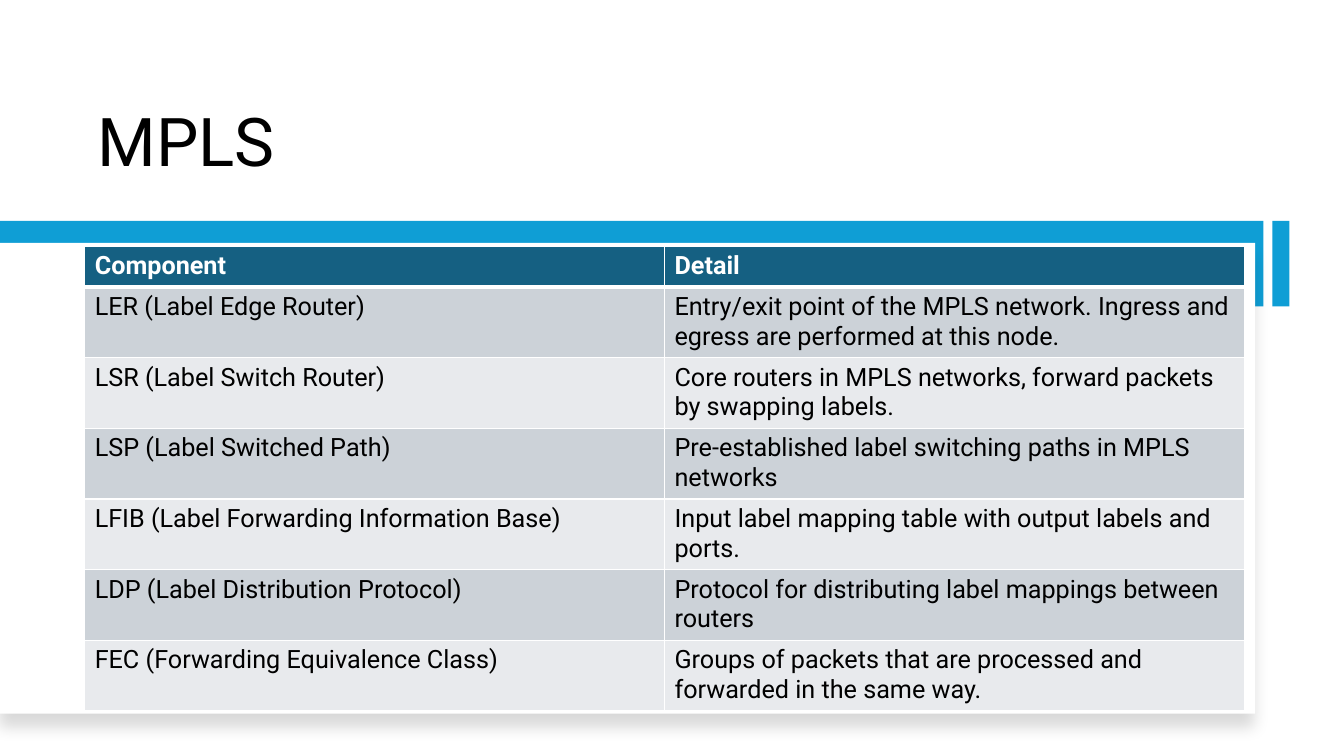
from lxml.etree import SubElement
from pptx import Presentation
from pptx.dml.color import RGBColor
from pptx.enum.shapes import MSO_SHAPE as Shape
from pptx.enum.text import MSO_ANCHOR as Anchor
from pptx.oxml import parse_xml
from pptx.oxml.ns import nsdecls, qn
from pptx.util import Inches, Pt

COLORS = {
    "accent": "0F9ED5",
    "header": "156082",
    "odd": "CCD2D8",
    "even": "E8EAED",
    "white": "FFFFFF",
    "black": "000000",
}
FONT = "Roboto"
HEADER_HEIGHT = 0.41
ROWS = [
    ("Component", "Detail"),
    ("LER (Label Edge Router)",
     "Entry/exit point of the MPLS network. Ingress and egress are performed at this node."),
    ("LSR (Label Switch Router)",
     "Core routers in MPLS networks, forward packets by swapping labels."),
    ("LSP (Label Switched Path)",
     "Pre-established label switching paths in MPLS networks"),
    ("LFIB (Label Forwarding Information Base)",
     "Input label mapping table with output labels and ports."),
    ("LDP (Label Distribution Protocol)",
     "Protocol for distributing label mappings between routers"),
    ("FEC (Forwarding Equivalence Class)",
     "Groups of packets that are processed and forwarded in the same way."),
]


def rgb(name):
    return RGBColor.from_string(COLORS[name])


def inches(box):
    return [Inches(length) for length in box]


def style(paragraph, size, color, bold=False):
    font = paragraph.font
    font.name, font.size, font.bold = FONT, Pt(size), bold
    font.color.rgb = rgb(color)


def add_block(slide, box, color):
    block = slide.shapes.add_shape(Shape.RECTANGLE, *inches(box))
    block.shadow.inherit = False
    block.fill.solid()
    block.fill.fore_color.rgb = rgb(color)
    block.line.fill.background()
    return block


def add_soft_shadow(block):
    effects = block._element.spPr.find(qn("a:effectLst"))
    effects.append(parse_xml(
        f'<a:outerShdw {nsdecls("a")} blurRad="{Pt(11)}" dist="{Pt(10)}" '
        f'dir="5400000" algn="t" rotWithShape="0"><a:srgbClr val="{COLORS["black"]}">'
        '<a:alpha val="15000"/></a:srgbClr></a:outerShdw>'))


def add_title(slide, box):
    title = slide.shapes.add_textbox(*inches(box)).text_frame
    title.word_wrap = True
    title.vertical_anchor = Anchor.BOTTOM
    heading = title.paragraphs[0]
    heading.text = "MPLS"
    heading.line_spacing = 0.9
    style(heading, 48, "black")


def add_backdrop(slide, box):
    left, top, width, height = box
    band_height, tab_gap, tab_width = 0.85, 0.09, 0.17
    card_top, card_inset = 0.22, 0.08
    add_block(slide, (left, top, width, band_height), "accent")
    card = add_block(slide, (left, top + card_top, width - card_inset, height - card_top), "white")
    add_soft_shadow(card)
    add_block(slide, (left + width + tab_gap, top, tab_width, band_height), "accent")


def set_borders(cell, bottom_width):
    properties = cell._tc.get_or_add_tcPr()
    sides = {"lnL": 1, "lnR": 1, "lnT": 1, "lnB": bottom_width}
    for position, (side, width) in enumerate(sides.items()):
        border = SubElement(properties, qn(f"a:{side}"), w=str(Pt(width)))
        fill = SubElement(border, qn("a:solidFill"))
        SubElement(fill, qn("a:srgbClr"), val=COLORS["white"])
        properties.insert(position, border)


def add_components(slide, box):
    columns = len(ROWS[0])
    table = slide.shapes.add_table(len(ROWS), columns, *inches(box)).table
    width, height = box[2:]
    for column in table.columns:
        column.width = Inches(width / columns)
    body_height = (height - HEADER_HEIGHT) / (len(ROWS) - 1)
    for index, entry in enumerate(ROWS):
        is_header = index == 0
        table.rows[index].height = Inches(HEADER_HEIGHT if is_header else body_height)
        background = "header" if is_header else "odd" if index % 2 else "even"
        for cell, wording in zip(table.rows[index].cells, entry):
            cell.text = wording
            style(cell.text_frame.paragraphs[0], 18, "white" if is_header else "black", is_header)
            cell.fill.solid()
            cell.fill.fore_color.rgb = rgb(background)
            set_borders(cell, 3 if is_header else 1)


def main():
    deck = Presentation()
    deck.slide_width, deck.slide_height = Inches(13.33), Inches(7.5)
    slide = deck.slides.add_slide(deck.slide_layouts[6])
    add_backdrop(slide, (0, 2.19, 12.53, 4.89))
    add_title(slide, (0.87, 0.42, 11.01, 1.42))
    add_components(slide, (0.84, 2.44, 11.5, 4.53))
    deck.save("out.pptx")


if __name__ == "__main__":
    main()
